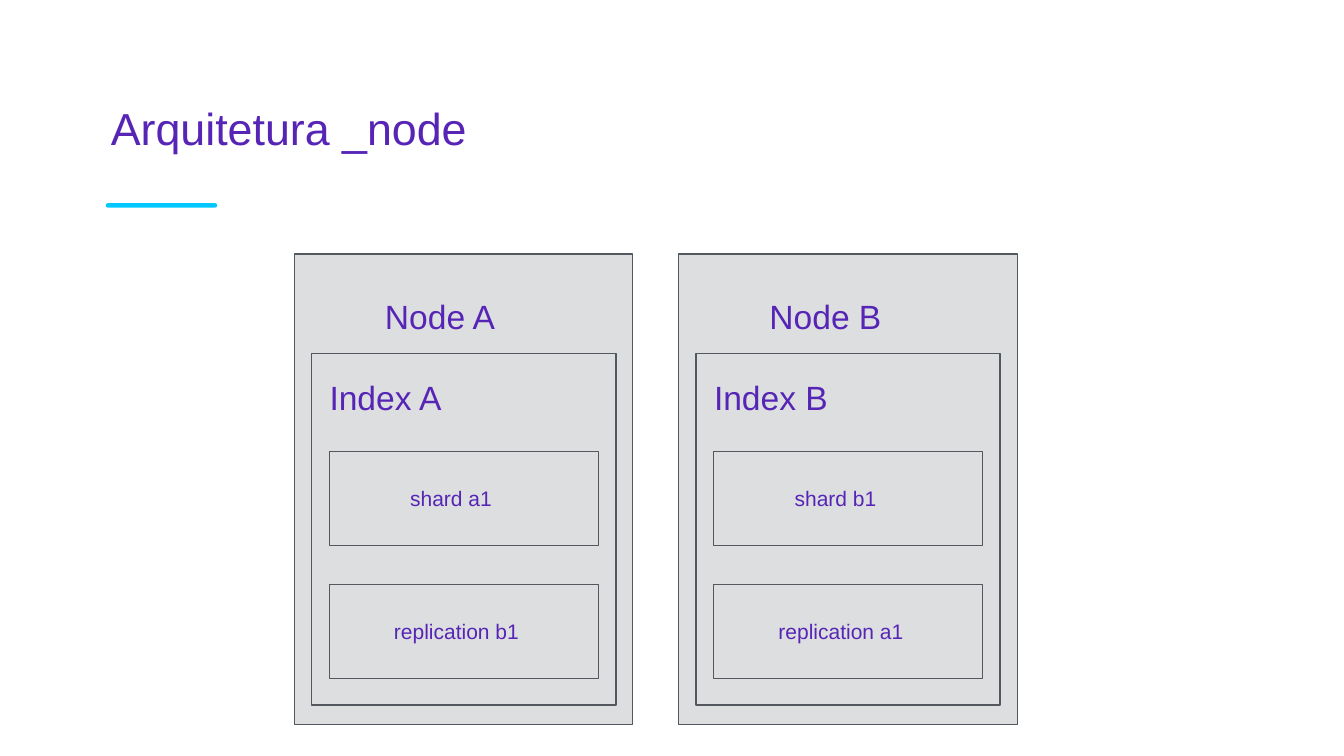
from pptx import Presentation
from pptx.dml.color import RGBColor
from pptx.enum.shapes import MSO_SHAPE
from pptx.enum.text import MSO_ANCHOR, PP_ALIGN
from pptx.util import Inches, Pt

PURPLE = RGBColor(0x57, 0x25, 0xB6)
CYAN = RGBColor(0x00, 0xC8, 0xFF)
LIGHT_GRAY = RGBColor(0xDC, 0xDE, 0xE0)
DARK_GRAY = RGBColor(0x53, 0x58, 0x5F)

deck = Presentation()
deck.slide_width = Inches(26.67)
deck.slide_height = Inches(15)
page = deck.slides.add_slide(deck.slide_layouts[6])


def add_label(text, left, top, width, height, size):
    box = page.shapes.add_textbox(Inches(left), Inches(top), Inches(width), Inches(height))
    frame = box.text_frame
    frame.text = text
    frame.word_wrap = True
    frame.vertical_anchor = MSO_ANCHOR.MIDDLE
    frame.margin_left = frame.margin_right = Inches(0.1)
    frame.margin_top = frame.margin_bottom = Inches(0.1)
    paragraph = frame.paragraphs[0]
    paragraph.alignment = PP_ALIGN.LEFT
    span = paragraph.runs[0]
    span.font.name = "Arial"
    span.font.size = Pt(size)
    span.font.color.rgb = PURPLE


def add_frame(left, top, width, height, line_width):
    frame = page.shapes.add_shape(
        MSO_SHAPE.RECTANGLE, Inches(left), Inches(top), Inches(width), Inches(height))
    frame.shadow.inherit = False
    frame.fill.solid()
    frame.fill.fore_color.rgb = LIGHT_GRAY
    frame.line.color.rgb = DARK_GRAY
    frame.line.width = Pt(line_width)


# Title and its accent bar
accent = page.shapes.add_shape(
    MSO_SHAPE.ROUNDED_RECTANGLE, Inches(2.1), Inches(4.03), Inches(2.21), Inches(0.09))
accent.adjustments[0] = 0.5
accent.shadow.inherit = False
accent.fill.solid()
accent.fill.fore_color.rgb = CYAN
accent.line.fill.background()
add_label("Arquitetura _node", 2.1, 1.91, 20.98, 1.26, 64)

# Two nodes, each holding an index with a shard and a replica of the other's shard
nodes = [
    (5.84, "A", "shard a1", "replication b1"),
    (13.47, "B", "shard b1", "replication a1"),
]
for left, letter, shard, replica in nodes:
    add_frame(left, 5.04, 6.72, 9.33, 1.5)
    add_label(f"Node {letter}", left + 1.7, 5.54, 3.04, 1.47, 48)
    add_frame(left + 0.34, 7.01, 6.04, 6.98, 2.25)
    add_label(f"Index {letter}", left + 0.6, 7.24, 2.75, 1.26, 48)
    for text, top, indent, width in [(shard, 8.96, 2.2, 2.02), (replica, 11.6, 1.88, 3.76)]:
        add_frame(left + 0.69, top, 5.34, 1.86, 0.75)
        add_label(text, left + indent, top + 0.3, width, 1.26, 30)

deck.save("out.pptx")
